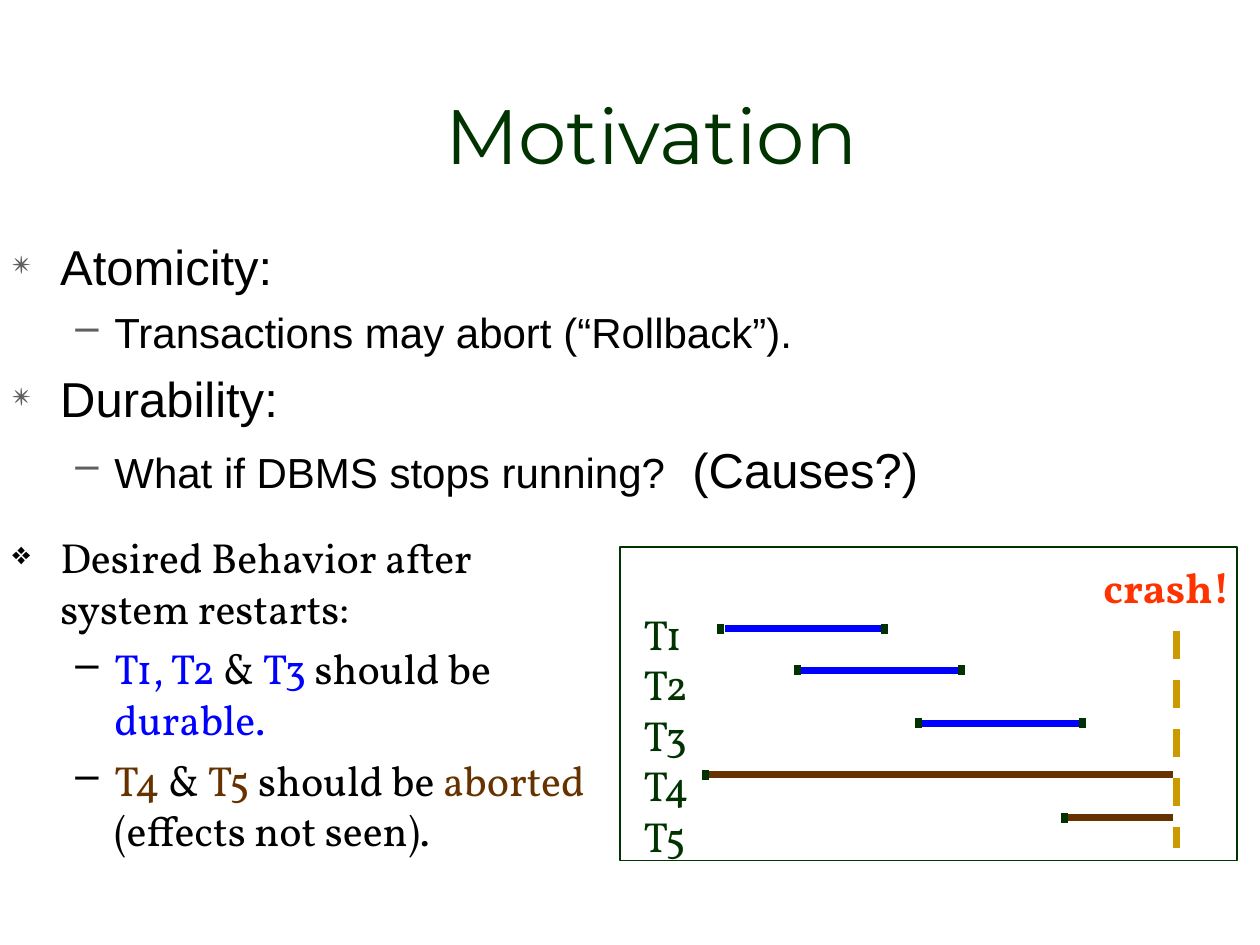
from dataclasses import dataclass

from lxml import etree
from pptx import Presentation
from pptx.dml.color import RGBColor
from pptx.enum.dml import MSO_LINE
from pptx.enum.shapes import MSO_CONNECTOR, MSO_SHAPE
from pptx.enum.text import MSO_ANCHOR, MSO_AUTO_SIZE, PP_ALIGN
from pptx.oxml.ns import qn
from pptx.util import Inches, Pt

STRAIGHT = MSO_CONNECTOR.STRAIGHT
RECTANGLE = MSO_SHAPE.RECTANGLE
DASH = MSO_LINE.DASH
MIDDLE = MSO_ANCHOR.MIDDLE
CENTER = PP_ALIGN.CENTER
NO_FIT, GROW = MSO_AUTO_SIZE.NONE, MSO_AUTO_SIZE.SHAPE_TO_FIT_TEXT


@dataclass(frozen=True)
class Theme:
    green: str = "003300"
    black: str = "000000"
    gray: str = "5F5F5F"
    durable: str = "0000FF"
    aborted: str = "663300"
    crash: str = "FF3300"
    crash_line: str = "CC9900"
    title_font: str = "Montserrat"
    sans: str = "Arial"
    serif: str = "Vollkorn"
    title_size: int = 44
    large: int = 28
    body: int = 24
    bar: int = 4
    border: int = 1


THEME = Theme()


def add_text(paragraph, text, *, size=THEME.body, font=THEME.serif,
             color=THEME.black, bold=False):
    run = paragraph.add_run()
    run.text = text
    run.font.size = Pt(size)
    run.font.name = font
    run.font.bold = bold
    run.font.color.rgb = RGBColor.from_string(color)


def add_box(slide, box, wrap=True):
    frame = slide.shapes.add_textbox(*map(Inches, box)).text_frame
    frame.word_wrap = wrap
    frame.auto_size = NO_FIT if wrap else GROW
    return frame


def next_paragraph(frame, index):
    return frame.add_paragraph() if index else frame.paragraphs[0]


def set_bullet(paragraph, level, char, color, percent):
    margin, hanging = ((0.38, -0.38), (0.81, -0.31))[level]
    paragraph.level = level
    properties = paragraph._p.get_or_add_pPr()
    properties.set("marL", str(Inches(margin)))
    properties.set("indent", str(Inches(hanging)))
    bullet_color = etree.SubElement(properties, qn("a:buClr"))
    etree.SubElement(bullet_color, qn("a:srgbClr"), val=color)
    etree.SubElement(properties, qn("a:buSzPct"), val=str(percent * 1000))
    etree.SubElement(properties, qn("a:buChar"), char=char)


def add_outline(slide, box, items, font, symbol, symbol_percent, bullet_color):
    """Each item is (level, space before, runs); a run is (text, format)."""
    frame = add_box(slide, box)
    for index, (level, space, runs) in enumerate(items):
        paragraph = next_paragraph(frame, index)
        char, percent = ("–", 100) if level else (symbol, symbol_percent)
        set_bullet(paragraph, level, char, bullet_color, percent)
        if index:
            paragraph.space_before = Pt(space)
        for text, style in runs:
            add_text(paragraph, text, font=font, **style)


def add_line(slide, start, end, color, dash=None):
    line = slide.shapes.add_connector(STRAIGHT, *map(Inches, (*start, *end)))
    line.line.color.rgb = RGBColor.from_string(color)
    line.line.width = Pt(THEME.bar)
    if dash is not None:
        line.line.dash_style = dash
    etree.SubElement(line._element.spPr, qn("a:effectLst"))


def add_title(slide, box):
    title = slide.shapes.title
    title.left, title.top, title.width, title.height = map(Inches, box)
    frame = title.text_frame
    frame.auto_size = NO_FIT
    frame.vertical_anchor = MIDDLE
    frame.paragraphs[0].alignment = CENTER
    add_text(frame.paragraphs[0], "Motivation", size=THEME.title_size,
             font=THEME.title_font, color=THEME.green)


def add_properties(slide, box):
    large = {"size": THEME.large}
    items = [
        (0, 7, [("Atomicity:", large)]),
        (1, 6, [("Transactions may abort (“Rollback”).", {})]),
        (0, 7, [("Durability:", large)]),
        (1, 7, [("What if DBMS stops running?", {}), ("  (Causes?)", large)]),
    ]
    add_outline(slide, box, items, THEME.sans, "✴", 65, THEME.gray)


def add_desired_behavior(slide, box):
    durable = {"color": THEME.durable}
    aborted = {"color": THEME.aborted}
    items = [
        (0, 6, [("Desired Behavior after system restarts:", {})]),
        (1, 6, [("T1, T2 ", durable), ("& ", {}), ("T3", durable),
                (" should be ", {}), ("durable.", durable)]),
        (1, 6, [("T4", aborted), (" & ", {}), ("T5 ", aborted),
                ("should be ", {}), ("aborted", aborted),
                (" (effects not seen).", {})]),
    ]
    add_outline(slide, box, items, THEME.serif, "❖", 75, THEME.black)


def add_timeline(slide, box):
    left, top, width, height = box
    crash_x = left + 4.42
    bar_end = crash_x - 0.03
    cap_gap, cap_half = 0.03, 0.04

    # Transactions: label, bar start, bar length (None runs to the crash), y
    transactions = [
        ("T1", 0.83, 1.24, 0.65),
        ("T2", 1.44, 1.24, 0.98),
        ("T3", 2.40, 1.24, 1.40),
        ("T4", 0.71, None, 1.81),
        ("T5", 3.56, None, 2.15),
    ]

    # Labels
    crash = add_box(slide, (left + 3.74, top + 0.07, 1.26, 0.5), wrap=False)
    add_text(crash.paragraphs[0], "crash!", color=THEME.crash, bold=True)
    labels = add_box(slide, (left + 0.09, top + 0.44, 0.59, 2.1), wrap=False)
    for index, (name, *_) in enumerate(transactions):
        add_text(next_paragraph(labels, index), name, color=THEME.green)

    # Bars with end caps
    for _, offset, length, drop in transactions:
        start, y = left + offset, top + drop
        end = start + length if length else bar_end
        color = THEME.durable if length else THEME.aborted
        add_line(slide, (start, y), (end, y), color)
        caps = [start - cap_gap] + ([end + cap_gap] if length else [])
        for x in caps:
            add_line(slide, (x, y - cap_half), (x, y + cap_half), THEME.green)

    # Moment of the crash
    add_line(slide, (crash_x, top + 0.67), (crash_x, top + 2.39),
             THEME.crash_line, DASH)

    # Border
    border = slide.shapes.add_shape(RECTANGLE, *map(Inches, box))
    border.shadow.inherit = False
    border.fill.background()
    border.line.color.rgb = RGBColor.from_string(THEME.green)
    border.line.width = Pt(THEME.border)


def main():
    deck = Presentation()
    deck.slide_width, deck.slide_height = Inches(10), Inches(7.5)
    slide = deck.slides.add_slide(deck.slide_layouts.get_by_name("Title Only"))
    add_title(slide, (0.92, 0.46, 8.5, 1.21))
    add_properties(slide, (0, 1.83, 7.5, 2.25))
    add_desired_behavior(slide, (0, 4.17, 4.92, 2.92))
    add_timeline(slide, (4.92, 4.34, 4.9, 2.49))
    deck.save("out.pptx")


if __name__ == "__main__":
    main()
